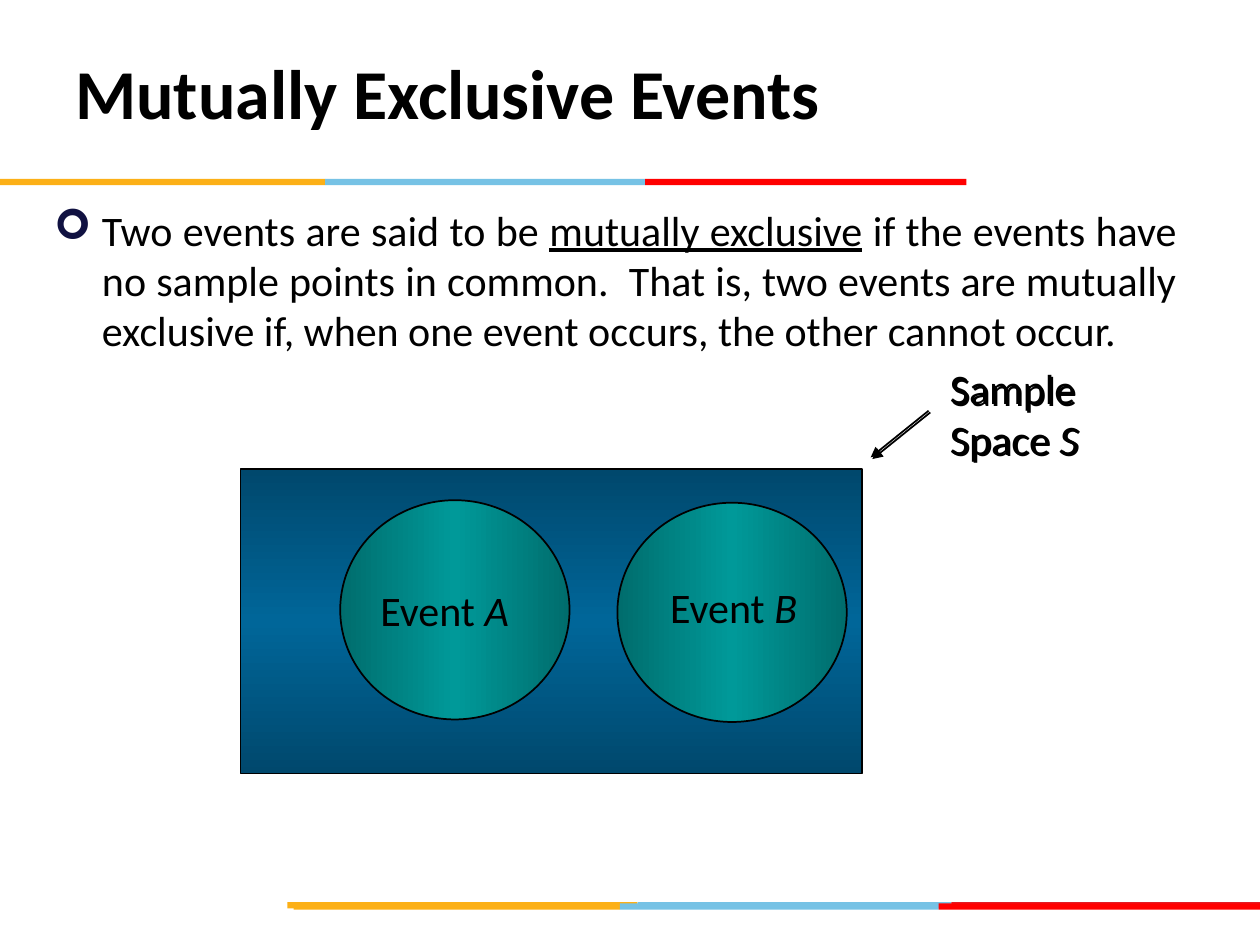
"""Build a slide that explains mutually exclusive events with a Venn diagram."""
from lxml.etree import SubElement
from pptx import Presentation
from pptx.dml.color import RGBColor
from pptx.enum.shapes import MSO_CONNECTOR as Connector, MSO_SHAPE as Shape
from pptx.enum.text import MSO_ANCHOR as Anchor, MSO_AUTO_SIZE as AutoSize, PP_ALIGN as Align
from pptx.oxml import parse_xml
from pptx.oxml.ns import nsdecls, qn
from pptx.util import Inches, Pt

COLORS = {
    "black": "000000", "bullet": "101141", "amber": "FCB017", "sky": "76C2E5",
    "crimson": "E31C24", "red": "FF0000", "space": "006699", "event": "009999",
}
FONT = "Calibri"
TITLE = [[("Mutually Exclusive Events", "b")]]
BODY = [[
    ("Two events are said to be ", ""),
    ("mutually exclusive", "u"),
    (" if the events have no sample points in common.  That is, two events are "
     "mutually exclusive if, when one event occurs, the other cannot occur.", ""),
]]
SPACE_LABEL = [[("Sample", "")], [("Space ", ""), ("S", "i")]]
EVENTS = [
    ("B", (4.9, 3.99), (5.22, 4.57, 1.34, 0.5)),
    ("A", (2.7, 3.97), (2.92, 4.59, 1.38, 0.5)),
]
STRIPES = [
    (7.16, (2.28, 5.06, 7.55, 10), ("amber", "sky", "crimson")),
    (7.17, (2.33, 4.92, 7.45, 10), ("amber", "sky", "red")),
    (1.42, (0, 2.58, 5.12, 7.67), ("amber", "sky", "red")),
]
STRIPE_HEIGHT = 0.05
EVENT_SIZE = (1.82, 1.74)
SPACE_BOX = (1.91, 3.72, 4.93, 2.42)
ARROW = (7.37, 3.26, 6.91, 3.63)

deck = Presentation()
deck.slide_width, deck.slide_height = Inches(10), Inches(7.5)
COLUMN, ROW = deck.slide_width / 10, deck.slide_height / 7.5
page = deck.slides.add_slide(deck.slide_layouts[6])


def place(*spots):
    """Turn alternating column and row counts into lengths."""
    return [round(spot * (ROW if index % 2 else COLUMN)) for index, spot in enumerate(spots)]


def rgb(name):
    return RGBColor.from_string(COLORS[name])


def add_area(kind, spot, color):
    area = page.shapes.add_shape(kind, *place(*spot))
    area.shadow.inherit = False
    area.fill.solid()
    area.fill.fore_color.rgb = rgb(color)
    area.line.fill.background()
    return area


def add_shaded(kind, spot, color, degrees):
    area = add_area(kind, spot, color)
    area.line.color.rgb, area.line.width = rgb("black"), Pt(1)
    base = COLORS[color]
    edge = f'<a:srgbClr val="{base}"><a:shade val="46275"/></a:srgbClr>'
    gradient = parse_xml(
        f'<a:gradFill {nsdecls("a")} rotWithShape="1"><a:gsLst>'
        f'<a:gs pos="0">{edge}</a:gs>'
        f'<a:gs pos="50000"><a:srgbClr val="{base}"/></a:gs>'
        f'<a:gs pos="100000">{edge}</a:gs>'
        f'</a:gsLst><a:lin ang="{degrees * 60000}" scaled="1"/></a:gradFill>')
    properties = area.element.spPr
    properties.replace(properties.find(qn("a:solidFill")), gradient)


def add_text(spot, content, size=24, wrap=False, margins=(0.1, 0.05)):
    box = page.shapes.add_textbox(*place(*spot))
    frame = box.text_frame
    frame.word_wrap = wrap
    frame.auto_size = AutoSize.NONE if wrap else AutoSize.SHAPE_TO_FIT_TEXT
    frame.margin_left = frame.margin_right = Inches(margins[0])
    frame.margin_top = frame.margin_bottom = Inches(margins[1])
    frame.text = "\n".join("" for _ in content)
    for para, spans in zip(frame.paragraphs, content):
        for text, style in spans:
            span = para.add_run()
            span.text = text
            font = span.font
            font.name, font.size, font.color.rgb = FONT, Pt(size), rgb("black")
            if style == "b":
                font.bold = True
            elif style == "i":
                font.italic = True
            elif style == "u":
                font.underline = True
    return box


def add_shadow(item):
    item.element.spPr.append(parse_xml(
        f'<a:effectLst {nsdecls("a")}><a:outerShdw dist="{Pt(1.4)}" dir="2700000" '
        f'algn="ctr" rotWithShape="0"><a:srgbClr val="{COLORS["black"]}"/>'
        '</a:outerShdw></a:effectLst>'))


def add_bullet(para, indent):
    para.alignment, para.space_before = Align.JUSTIFY, Pt(4.8)
    properties = para._p.get_or_add_pPr()
    properties.set("marL", str(Inches(indent)))
    properties.set("indent", str(Inches(-indent)))
    color = SubElement(properties, qn("a:buClr"))
    SubElement(color, qn("a:srgbClr"), val=COLORS["bullet"])
    SubElement(properties, qn("a:buFont"), typeface="Wingdings")
    SubElement(properties, qn("a:buChar"), char="➢")


for top, edges, colors in STRIPES:
    for left, right, color in zip(edges, edges[1:], colors):
        add_area(Shape.RECTANGLE, (left, top, right - left, STRIPE_HEIGHT), color)

body = add_text((0.35, 1.58, 9.07, 5.2), BODY, wrap=True, margins=(0.08, 0.04))
add_bullet(body.text_frame.paragraphs[0], 0.38)
title = add_text((0.5, 0.3, 6.76, 0.86), TITLE, size=40, wrap=True)
title.text_frame.vertical_anchor = Anchor.MIDDLE

add_shaded(Shape.RECTANGLE, SPACE_BOX, "space", 90)
add_shadow(add_text((7.44, 2.83, 1.38, 0.9), SPACE_LABEL))

arrow = page.shapes.add_connector(Connector.STRAIGHT, *place(*ARROW))
arrow.line.color.rgb, arrow.line.width = rgb("black"), Pt(1)
SubElement(arrow.line._get_or_add_ln(), qn("a:tailEnd"), type="triangle")
add_shadow(arrow)

for name, corner, label in EVENTS:
    add_shaded(Shape.OVAL, corner + EVENT_SIZE, "event", 0)
    add_text(label, [[("Event ", ""), (name, "i")]])

deck.save("out.pptx")
